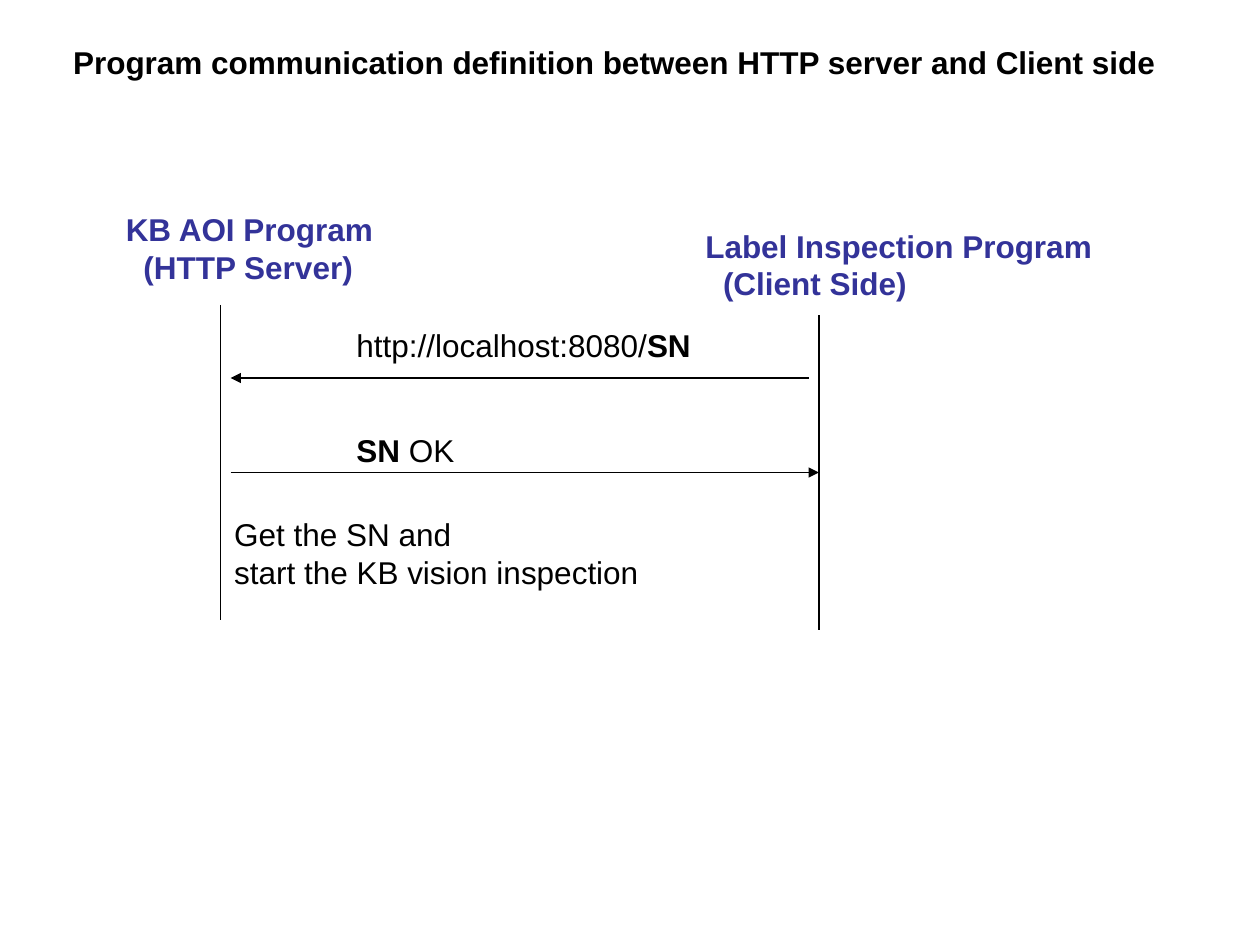
from dataclasses import dataclass

from pptx import Presentation
from pptx.dml.color import RGBColor
from pptx.enum.shapes import MSO_CONNECTOR
from pptx.enum.text import MSO_ANCHOR, MSO_AUTO_SIZE, PP_ALIGN
from pptx.oxml.ns import qn
from pptx.util import Inches, Pt
from lxml.etree import SubElement

COLORS = {"ink": "000000", "program": "333399"}
FONT = "Arial"
SERVER_X, CLIENT_X = 1.75, 6.5
LIFELINE_LENGTH = 2.5


@dataclass
class Span:
    text: str
    bold: bool = False


@dataclass
class Label:
    left: float
    top: float
    width: float
    height: float
    lines: list[list[Span]]
    color: str = "ink"
    indent: float = 0  # left margin of the lines after the first


@dataclass
class Line:
    start: tuple[float, float]
    end: tuple[float, float]
    arrow: bool = False


TITLE = Label(0.48, 0.29, 8.8, 0.4, [
    [Span("Program communication definition between HTTP server and Client side", True)]])

LABELS = [
    Label(0.9, 1.62, 2.17, 0.7,
          [[Span("KB AOI Program", True)], [Span("(HTTP Server)", True)]], "program", 0.14),
    Label(5.5, 1.75, 3.27, 0.7,
          [[Span("Label Inspection Program", True)], [Span("(Client Side)", True)]],
          "program", 0.14),
    Label(2.73, 2.54, 2.9, 0.4, [[Span("http://localhost:8080/"), Span("SN", True)]]),
    Label(2.73, 3.37, 1, 0.4, [[Span("SN", True), Span(" OK")]]),
    Label(1.76, 4.04, 3.41, 0.7,
          [[Span("Get the SN and")], [Span("start the KB vision inspection")]]),
]

LINES = [
    # Lifelines
    *(Line((x, top), (x, top + LIFELINE_LENGTH))
      for x, top in ((SERVER_X, 2.42), (CLIENT_X, 2.5))),
    # Request and reply
    Line((CLIENT_X - 0.08, 3), (SERVER_X + 0.08, 3), arrow=True),
    Line((SERVER_X + 0.08, 3.75), (CLIENT_X, 3.75), arrow=True),
]


def fill_label(box, label: Label) -> None:
    box.left, box.top = Inches(label.left), Inches(label.top)
    box.width, box.height = Inches(label.width), Inches(label.height)
    frame = box.text_frame
    frame.word_wrap = False
    frame.auto_size = MSO_AUTO_SIZE.SHAPE_TO_FIT_TEXT
    frame.vertical_anchor = MSO_ANCHOR.TOP
    for index, spans in enumerate(label.lines):
        para = frame.add_paragraph() if index else frame.paragraphs[0]
        para.alignment = PP_ALIGN.LEFT
        if index and label.indent:
            para._p.get_or_add_pPr().set("marL", str(Inches(label.indent)))
        for span in spans:
            run = para.add_run()
            run.text = span.text
            run.font.name = FONT
            run.font.size = Pt(18)
            run.font.bold = span.bold
            run.font.color.rgb = RGBColor.from_string(COLORS[label.color])


def draw_line(page, line: Line) -> None:
    connector = page.shapes.add_connector(
        MSO_CONNECTOR.STRAIGHT, *(Inches(value) for value in line.start + line.end))
    connector.line.color.rgb = RGBColor.from_string(COLORS["ink"])
    connector.line.width = Pt(0.75)
    if line.arrow:
        SubElement(connector.line._get_or_add_ln(), qn("a:tailEnd"), type="triangle")
    SubElement(connector._element.spPr, qn("a:effectLst"))


def main() -> None:
    deck = Presentation()
    deck.slide_width, deck.slide_height = Inches(10), Inches(7.5)
    page = deck.slides.add_slide(deck.slide_layouts[5])

    fill_label(page.shapes.title, TITLE)
    for line in LINES:
        draw_line(page, line)
    for label in LABELS:
        box = page.shapes.add_textbox(0, 0, 0, 0)
        fill_label(box, label)

    deck.save("out.pptx")


if __name__ == "__main__":
    main()
